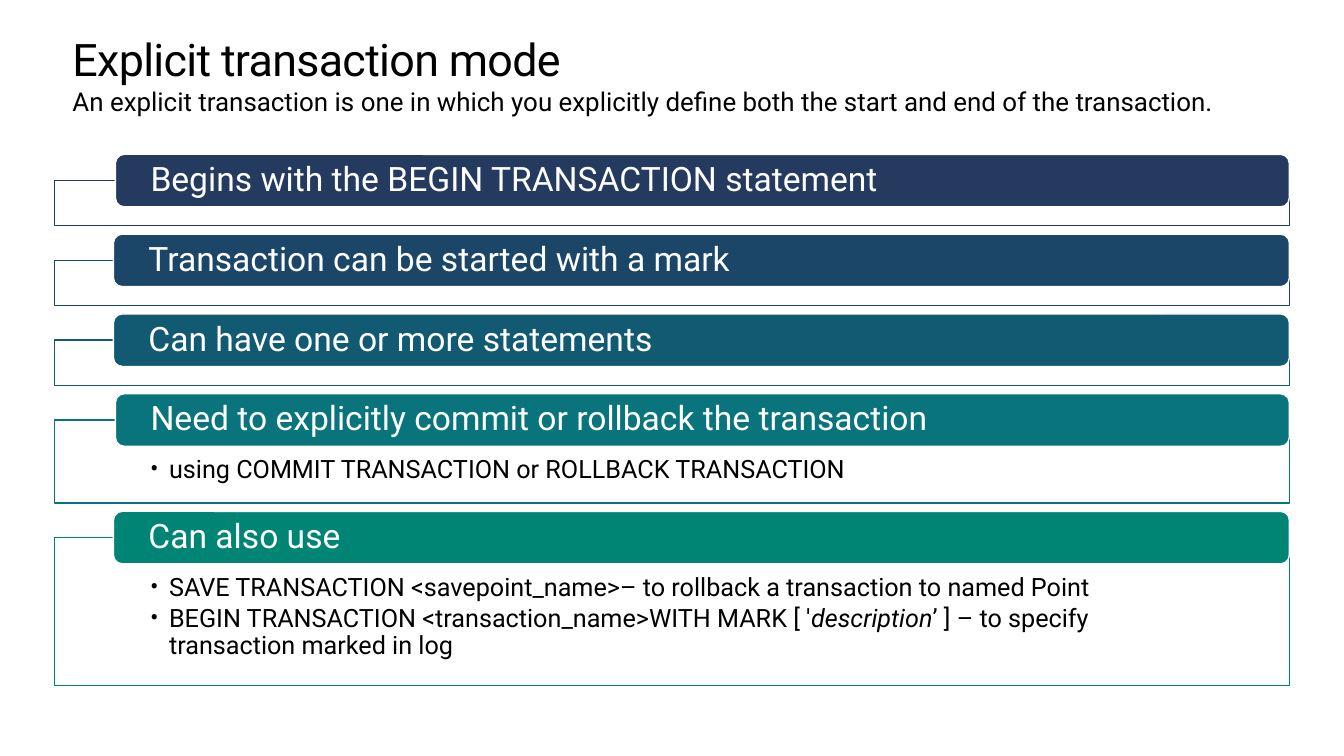
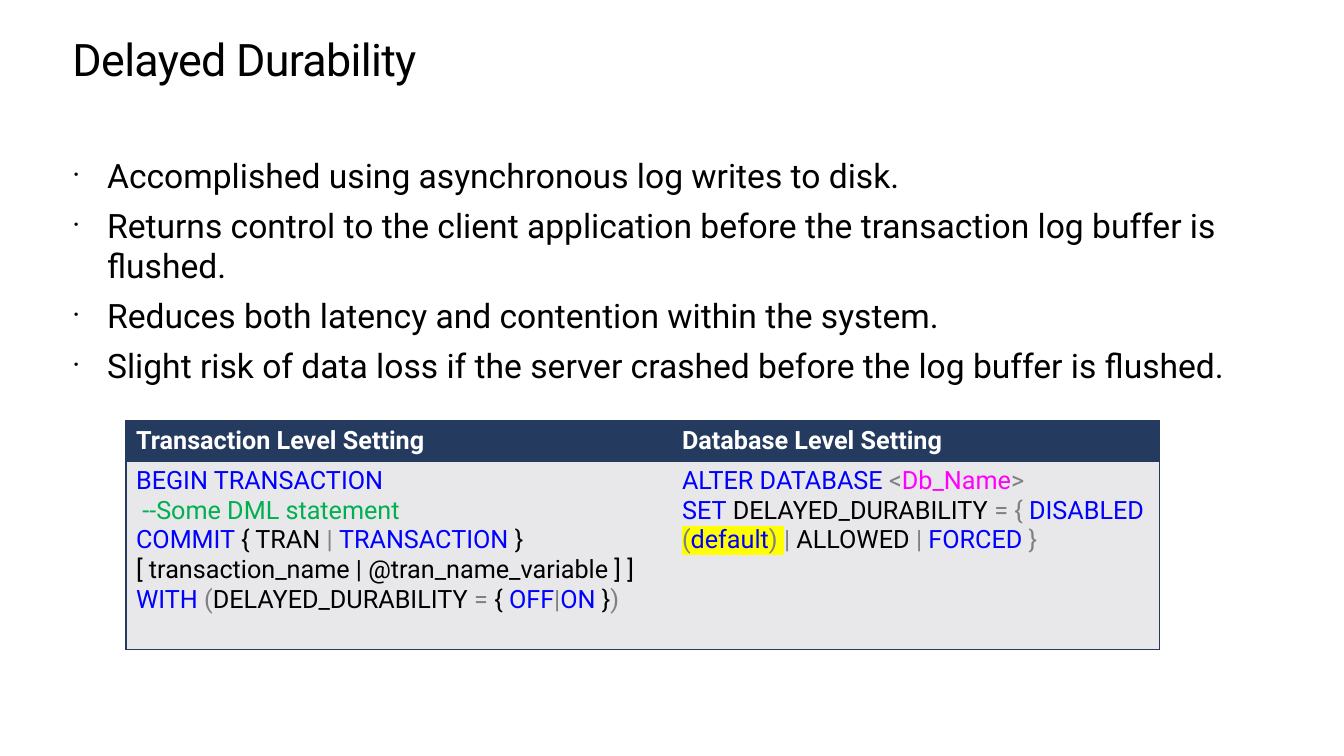
from dataclasses import dataclass
from typing import NamedTuple, Optional

from lxml import etree
from pptx import Presentation
from pptx import util as u
from pptx.dml.color import RGBColor
from pptx.enum import shapes, text
from pptx.oxml import ns

PX = 9525  # EMU in one px, 96 px to the inch


def px(n: int) -> u.Emu:
    return u.Emu(n * PX)


# Theme: colours and type sizes
@dataclass(frozen=True)
class Theme:
    font: str = "Roboto"
    black: str = "000000"
    white: str = "FFFFFF"
    navy: str = "243A5E"
    ocean: str = "1B4668"
    petrol: str = "125A71"
    teal: str = "09747B"
    green: str = "008575"
    cell: str = "E8E8EA"
    keyword: str = "0000FF"
    symbol: str = "808080"
    comment: str = "00B050"
    variable: str = "FF00FF"
    marker: str = "FFFF00"
    title: float = 32
    title_leading: float = 36.2
    subtitle: float = 18.5
    large: float = 24
    small: float = 18
    gap: float = 6.7


T = Theme()


class Run(NamedTuple):
    text: str
    color: str = T.black
    bold: bool = False
    italic: bool = False
    highlight: Optional[str] = None


class Bullet(NamedTuple):
    char: str
    indent: int
    percent: int = 100


class Step(NamedTuple):
    heading: str
    color: str
    left: int
    frame_height: int = 43
    details: tuple[tuple[Run, ...], ...] = ()


def kw(words: str) -> Run:
    return Run(words, T.keyword)


def sym(words: str) -> Run:
    return Run(words, T.symbol)


# Text helpers
def add_run(p, run: Run, size: float):
    r = p.add_run()
    r.text = run.text
    f = r.font
    f.name, f.size, f.bold, f.italic = T.font, u.Pt(size), run.bold, run.italic
    f.color.rgb = RGBColor.from_string(run.color)
    if run.highlight:
        mark = etree.Element(ns.qn("a:highlight"))
        etree.SubElement(mark, ns.qn("a:srgbClr"), val=run.highlight)
        r._r.rPr.find(ns.qn("a:solidFill")).addnext(mark)
    return r


def add_bullet(p, bullet: Bullet) -> None:
    pPr = p._p.get_or_add_pPr()
    pPr.set("marL", str(px(bullet.indent)))
    pPr.set("indent", str(-px(bullet.indent)))
    etree.SubElement(pPr, ns.qn("a:buSzPct"), val=str(bullet.percent * 1000))
    etree.SubElement(pPr, ns.qn("a:buFont"), typeface=T.font)
    etree.SubElement(pPr, ns.qn("a:buChar"), char=bullet.char)


def write(tf, paragraphs, size: float, bullet: Optional[Bullet] = None,
          before: float = 0, after: float = 0, leading: float = 1.0) -> None:
    for i, runs in enumerate(paragraphs):
        p = tf.add_paragraph() if i else tf.paragraphs[0]
        if bullet:
            add_bullet(p, bullet)
        p.alignment = text.PP_ALIGN.LEFT
        p.line_spacing = leading
        p.space_before = u.Pt(before if i else 0)
        p.space_after = u.Pt(after)
        for run in runs:
            add_run(p, run, size)


def set_margins(tf, left: int = 0, top: int = 0, right: int = 0, bottom: int = 0) -> None:
    tf.word_wrap = True
    tf.margin_left, tf.margin_top = px(left), px(top)
    tf.margin_right, tf.margin_bottom = px(right), px(bottom)


# Shared slide parts
MARGIN, CONTENT_W = 69, 1142


def add_box(s, kind, left: int, top: int, width: int, height: int,
            fill: str, line: Optional[str] = None):
    sp = s.shapes.add_shape(kind, px(left), px(top), px(width), px(height))
    sp.shadow.inherit = False
    sp.fill.solid()
    sp.fill.fore_color.rgb = RGBColor.from_string(fill)
    if line:
        sp.line.color.rgb = RGBColor.from_string(line)
        sp.line.width = u.Pt(1)
    else:
        sp.line.fill.background()
    return sp


def add_text(s, top: int, height: int):
    tf = s.shapes.add_textbox(px(MARGIN), px(top), px(CONTENT_W), px(height)).text_frame
    set_margins(tf)
    return tf


def new_slide(prs, title: str):
    s = prs.slides.add_slide(prs.slide_layouts[6])
    tf = add_box(s, shapes.MSO_SHAPE.RECTANGLE, MARGIN, 33, CONTENT_W, 48, T.white).text_frame
    set_margins(tf)
    tf.vertical_anchor = text.MSO_ANCHOR.TOP
    p = tf.paragraphs[0]
    p.alignment = text.PP_ALIGN.LEFT
    p.line_spacing = u.Pt(T.title_leading)
    r = add_run(p, Run(title), T.title)
    r._r.rPr.set("spc", "-50")
    return s


# Stacked list: a coloured bar over the top edge of each frame
FRAME_LEFT, FRAME_W = 52, 1176
BAR_H, BAR_LIFT, STEP_GAP = 50, 25, 8


def add_step(s, step: Step, top: int) -> int:
    """Draw one step and return the top of the next."""
    frame_top = top + BAR_LIFT
    frame = add_box(s, shapes.MSO_SHAPE.RECTANGLE, FRAME_LEFT, frame_top,
                    FRAME_W, step.frame_height, T.white, step.color)
    if step.details:
        tf = frame.text_frame
        set_margins(tf, 91, 35, 91, 13)
        tf.vertical_anchor = text.MSO_ANCHOR.TOP
        write(tf, step.details, T.small, Bullet("•", 18), after=2.7, leading=0.9)

    bar = add_box(s, shapes.MSO_SHAPE.ROUNDED_RECTANGLE, step.left, top,
                  FRAME_LEFT + FRAME_W - step.left, BAR_H, step.color, T.white)
    tf = bar.text_frame
    set_margins(tf, left=31, right=31)
    tf.vertical_anchor = text.MSO_ANCHOR.MIDDLE
    write(tf, [[Run(step.heading, T.white)]], T.large, leading=0.9)
    return frame_top + step.frame_height + STEP_GAP


# Settings table
def style_cell(cell, fill: str, edges: str) -> None:
    """Fill a cell and outline only the named edges (L, R, T, B)."""
    cell.fill.solid()
    cell.fill.fore_color.rgb = RGBColor.from_string(fill)
    tcPr = cell._tc.get_or_add_tcPr()
    for i, edge in enumerate("LRTB"):
        ln = etree.Element(ns.qn(f"a:ln{edge}"), w=str(u.Pt(1)))
        if edge in edges:
            paint = etree.SubElement(ln, ns.qn("a:solidFill"))
            etree.SubElement(paint, ns.qn("a:srgbClr"), val=T.navy)
        else:
            etree.SubElement(ln, ns.qn("a:noFill"))
        tcPr.insert(i, ln)


def add_settings(s, rows, left: int, top: int, widths, heights) -> None:
    table = s.shapes.add_table(len(rows), len(widths), px(left), px(top),
                               px(sum(widths)), px(sum(heights))).table
    table.first_row = table.horz_banding = False
    for column, width in zip(table.columns, widths):
        column.width = px(width)
    for i, (row, height) in enumerate(zip(rows, heights)):
        table.rows[i].height = px(height)
        for j, paragraphs in enumerate(row):
            cell = table.cell(i, j)
            style_cell(cell, T.cell if i else T.navy, "RTB" if j else "LTB")
            write(cell.text_frame, paragraphs, T.small)


# Content
STEPS = (
    Step("Begins with the BEGIN TRANSACTION statement", T.navy, 110),
    Step("Transaction can be started with a mark", T.ocean, 108),
    Step("Can have one or more statements", T.petrol, 108),
    Step("Need to explicitly commit or rollback the transaction", T.teal, 110, 79,
         ((Run("using COMMIT TRANSACTION or ROLLBACK TRANSACTION"),),)),
    Step("Can also use", T.green, 108, 141, (
        (Run("SAVE TRANSACTION <savepoint_name>– to rollback a transaction to named Point"),),
        (Run("BEGIN TRANSACTION <transaction_name>WITH MARK [ '"),
         Run("description", italic=True),
         Run("’ ] – to specify transaction marked in log")),
    )),
)

DURABILITY_POINTS = (
    "Accomplished using asynchronous log writes to disk.",
    "Returns control to the client application before the transaction log buffer is flushed.",
    "Reduces both latency and contention within the system.",
    "Slight risk of data loss if the server crashed before the log buffer is flushed.",
)

HEADER = [[[Run(name, T.white, bold=True)]]
          for name in ("Transaction Level Setting", "Database Level Setting")]
TRANSACTION_CODE = (
    (kw("BEGIN TRANSACTION"),),
    (Run(" "), Run("--Some DML statement", T.comment)),
    (kw("COMMIT "), Run("{ TRAN "), sym("| "), kw("TRANSACTION"), Run(" }")),
    (Run("[ transaction_name | @tran_name_variable ] ]"),),
    (kw("WITH "), sym("("), Run("DELAYED_DURABILITY "), sym("= "), Run("{ "),
     kw("OFF"), sym("|"), kw("ON "), Run("}"), sym(")")),
)
DATABASE_CODE = (
    (kw("ALTER DATABASE "), sym("<"), Run("Db_Name", T.variable), sym(">")),
    (kw("SET"), Run(" DELAYED_DURABILITY "), sym("= { "), kw("DISABLED "),
     Run("(", T.symbol, highlight=T.marker),
     Run("default", T.keyword, highlight=T.marker),
     Run(")", T.symbol, highlight=T.marker),
     Run(" ", highlight=T.marker),
     sym("|"), Run(" ALLOWED "), sym("| "), kw("FORCED "), sym("}")),
)


def explicit_mode_slide(prs) -> None:
    s = new_slide(prs, "Explicit transaction mode")
    write(add_text(s, 82, 48), [[Run(
        "An explicit transaction is one in which you explicitly define "
        "both the start and end of the transaction.")]], T.subtitle)
    top = 147
    for step in STEPS:
        top = add_step(s, step, top)


def delayed_durability_slide(prs) -> None:
    s = new_slide(prs, "Delayed Durability")
    write(add_text(s, 148, 506), [[Run(point)] for point in DURABILITY_POINTS],
          T.large, Bullet("·", 33, 90), before=T.gap)
    add_settings(s, (HEADER, (TRANSACTION_CODE, DATABASE_CODE)),
                 120, 401, (520, 464), (38, 179))


def main() -> None:
    prs = Presentation()
    prs.slide_width, prs.slide_height = px(1280), px(720)
    explicit_mode_slide(prs)
    delayed_durability_slide(prs)
    prs.save("out.pptx")


if __name__ == "__main__":
    main()
